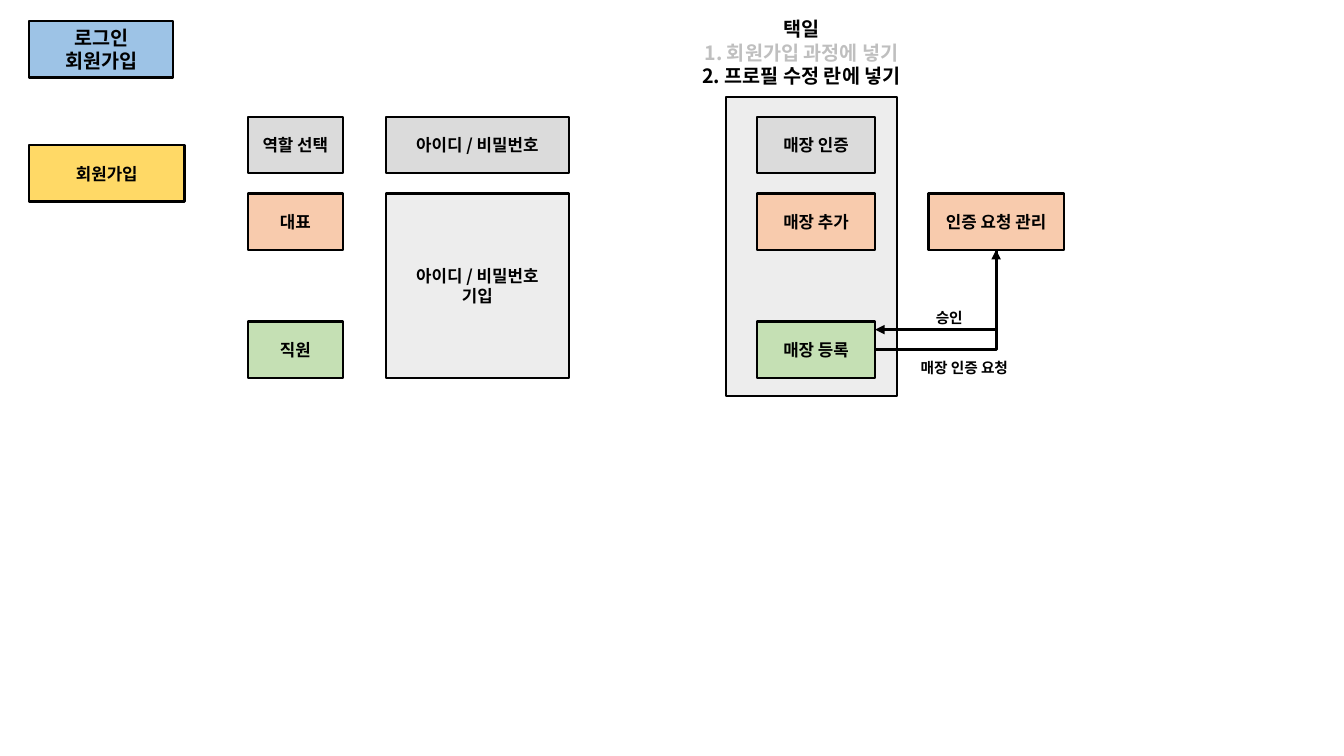
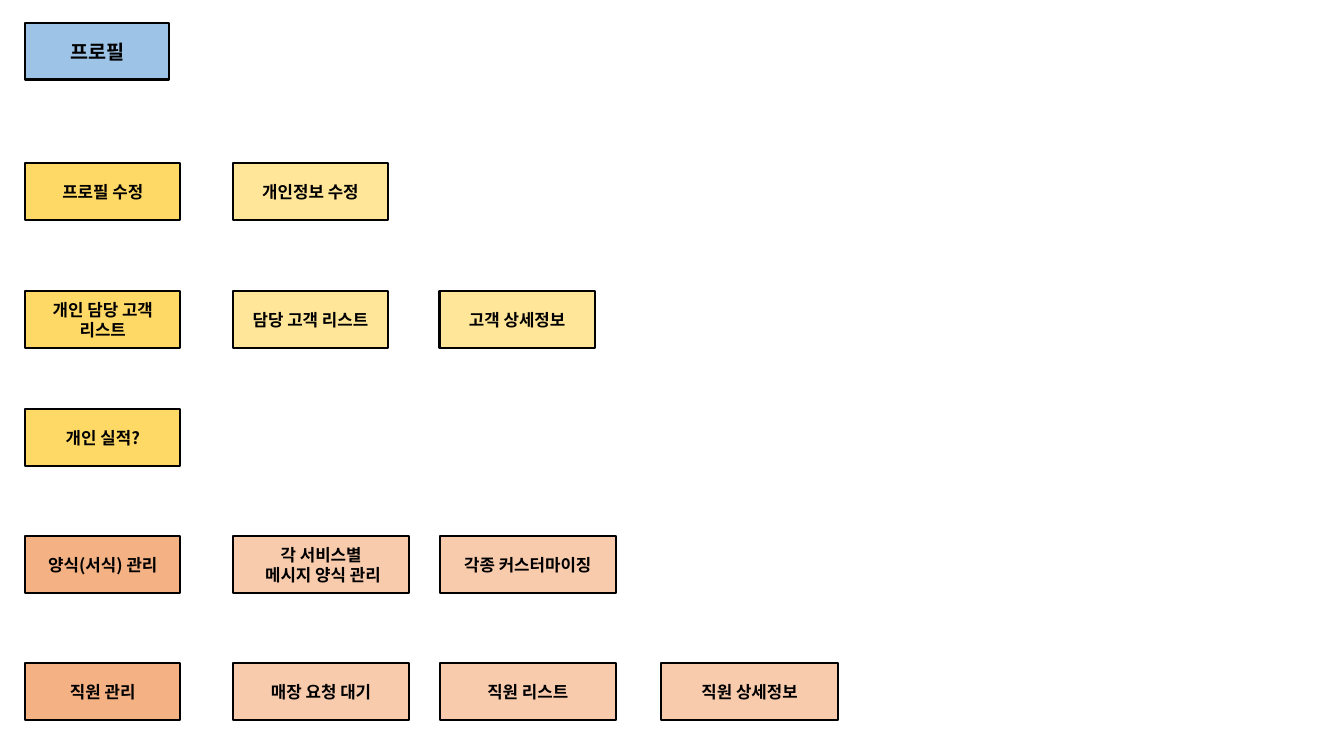
import pptx
import pptx.util
import pptx.dml.color
import pptx.enum.shapes
import pptx.enum.text
import pptx.oxml.ns
import lxml.etree

RGBColor = pptx.dml.color.RGBColor
BLACK = RGBColor(0x00, 0x00, 0x00)
MUTED = RGBColor(0xBF, 0xBF, 0xBF)
GRAY = RGBColor(0xDB, 0xDB, 0xDB)
PALE_GRAY = RGBColor(0xED, 0xED, 0xED)
BLUE = RGBColor(0x9D, 0xC3, 0xE6)
GOLD = RGBColor(0xFF, 0xD9, 0x66)
PALE_GOLD = RGBColor(0xFF, 0xE6, 0x99)
ORANGE = RGBColor(0xF4, 0xB1, 0x83)
PALE_ORANGE = RGBColor(0xF8, 0xCB, 0xAD)
GREEN = RGBColor(0xC5, 0xE0, 0xB4)

FONT = "Noto Sans CJK KR"
EMU_PER_PX = 9144
BOX_HEIGHT = 56
TITLE_WIDTH = 143
MENU_WIDTH = 154
TITLE_SIZE, BOX_SIZE, LABEL_SIZE = 14, 12, 10.5

COMMON_TOP, OWNER_TOP, STAFF_TOP = 116, 192, 319
ROLE = (246, 94)
ACCOUNT = (383, 181)
STORE = (751, 117)
REQUEST = (921, 134)
SIGNUP_BOXES = [
    ("역할 선택", ROLE, COMMON_TOP, GRAY),
    ("대표", ROLE, OWNER_TOP, PALE_ORANGE),
    ("직원", ROLE, STAFF_TOP, GREEN),
    ("아이디 / 비밀번호", ACCOUNT, COMMON_TOP, GRAY),
    ("매장 인증", STORE, COMMON_TOP, GRAY),
    ("매장 추가", STORE, OWNER_TOP, PALE_ORANGE),
    ("매장 등록", STORE, STAFF_TOP, GREEN),
    ("인증 요청 관리", REQUEST, OWNER_TOP, PALE_ORANGE),
    ("회원가입", (29, MENU_WIDTH), 144, GOLD),
]
CHOICE = "택일\v1. 회원가입 과정에 넣기\v2. 프로필 수정 란에 넣기"

PROFILE_LEFTS = [25, 231, 436, 656]
PROFILE_ROWS = [
    (162, GOLD, PALE_GOLD, 154, ["프로필 수정", "개인정보 수정"]),
    (289, GOLD, PALE_GOLD, 154, ["개인 담당 고객 리스트", "담당 고객 리스트", "고객 상세정보"]),
    (406, GOLD, PALE_GOLD, 154, ["개인 실적?"]),
    (532, ORANGE, PALE_ORANGE, 175,
     ["양식(서식) 관리", "각 서비스별\v 메시지 양식 관리", "각종 커스터마이징"]),
    (658, ORANGE, PALE_ORANGE, 175,
     ["직원 관리", "매장 요청 대기", "직원 리스트", "직원 상세정보"]),
]


def px(value):
    return pptx.util.Emu(round(value * EMU_PER_PX))


def add_child(parent, tag, **attributes):
    return lxml.etree.SubElement(parent, pptx.oxml.ns.qn(tag), **attributes)


def set_text(frame, text, size):
    frame.word_wrap = True
    frame.text = text
    for para in frame.paragraphs:
        para.alignment = pptx.enum.text.PP_ALIGN.CENTER
        for span in para.runs:
            span.font.name = FONT
            span.font.size = pptx.util.Pt(size)
            span.font.bold = True
            span.font.color.rgb = BLACK
            add_child(span.font._element, "a:ea", typeface=FONT)


def add_box(page, text, left, top, width, fill, height=BOX_HEIGHT, size=BOX_SIZE):
    box = page.shapes.add_shape(
        pptx.enum.shapes.MSO_SHAPE.RECTANGLE, px(left), px(top), px(width), px(height))
    box.shadow.inherit = False
    box.fill.solid()
    box.fill.fore_color.rgb = fill
    box.line.color.rgb = BLACK
    box.line.width = pptx.util.Pt(1.5)
    if text:
        box.text_frame.vertical_anchor = pptx.enum.text.MSO_ANCHOR.MIDDLE
        set_text(box.text_frame, text, size)
    return box


def add_label(page, text, left, top, width, height, size):
    label = page.shapes.add_textbox(px(left), px(top), px(width), px(height))
    set_text(label.text_frame, text, size)
    label.text_frame.auto_size = pptx.enum.text.MSO_AUTO_SIZE.SHAPE_TO_FIT_TEXT
    return label


def add_elbow_arrow(page, start, end):
    arrow = page.shapes.add_connector(
        pptx.enum.shapes.MSO_CONNECTOR.ELBOW, *(px(value) for value in start + end))
    arrow.line.color.rgb = BLACK
    arrow.line.width = pptx.util.Pt(2.25)
    add_child(arrow.line._get_or_add_ln(), "a:tailEnd", type="triangle")
    properties = arrow._element.spPr
    add_child(properties, "a:effectLst")
    properties.find(pptx.oxml.ns.qn("a:prstGeom")).set("prst", "bentConnector2")
    return arrow


def add_down_left_arrow(page, start, end):
    across, down = start[0] - end[0], end[1] - start[1]
    left = (start[0] + end[0] - down) / 2
    top = (start[1] + end[1] - across) / 2
    arrow = add_elbow_arrow(page, (left, top), (left + down, top + across))
    arrow._element.spPr.find(pptx.oxml.ns.qn("a:xfrm")).set("rot", "5400000")


def build_signup(page):
    add_box(page, "", 720, 96, 170, PALE_GRAY, height=297)
    boxes = {}
    for text, (left, width), top, fill in SIGNUP_BOXES:
        boxes[text] = add_box(page, text, left, top, width, fill)
    add_box(page, "로그인\v회원가입", 29, 21, TITLE_WIDTH, BLUE, size=TITLE_SIZE)
    add_box(page, "아이디 / 비밀번호\n기입", ACCOUNT[0], OWNER_TOP, ACCOUNT[1], PALE_GRAY,
            height=STAFF_TOP + BOX_HEIGHT - OWNER_TOP)

    choice = add_label(page, CHOICE, 584, 12, 422, 81, TITLE_SIZE)
    choice.text_frame.paragraphs[0].runs[1].font.color.rgb = MUTED

    store_right = sum(STORE)
    store_middle = STAFF_TOP + BOX_HEIGHT // 2
    request_bottom = (REQUEST[0] + REQUEST[1] // 2, OWNER_TOP + BOX_HEIGHT)
    request = add_elbow_arrow(page, (store_right, store_middle), request_bottom)
    request.begin_connect(boxes["매장 등록"], 3)
    request.end_connect(boxes["인증 요청 관리"], 2)
    add_down_left_arrow(page, request_bottom, (store_right, store_middle - 20))
    add_label(page, "매장 인증 요청", 875, 351, 163, 29, LABEL_SIZE)
    add_label(page, "승인", 887, 301, 109, 29, LABEL_SIZE)


def build_profile(page):
    add_box(page, "프로필", PROFILE_LEFTS[0], 23, TITLE_WIDTH, BLUE, size=TITLE_SIZE)
    for top, menu_fill, step_fill, step_width, texts in PROFILE_ROWS:
        for column, (text, left) in enumerate(zip(texts, PROFILE_LEFTS)):
            width = step_width if column else MENU_WIDTH
            add_box(page, text, left, top, width, step_fill if column else menu_fill)


def main():
    deck = pptx.Presentation()
    deck.slide_width = pptx.util.Inches(13.33)
    deck.slide_height = pptx.util.Inches(7.5)
    for build in (build_signup, build_profile):
        build(deck.slides.add_slide(deck.slide_layouts[6]))
    deck.save("out.pptx")


if __name__ == "__main__":
    main()
